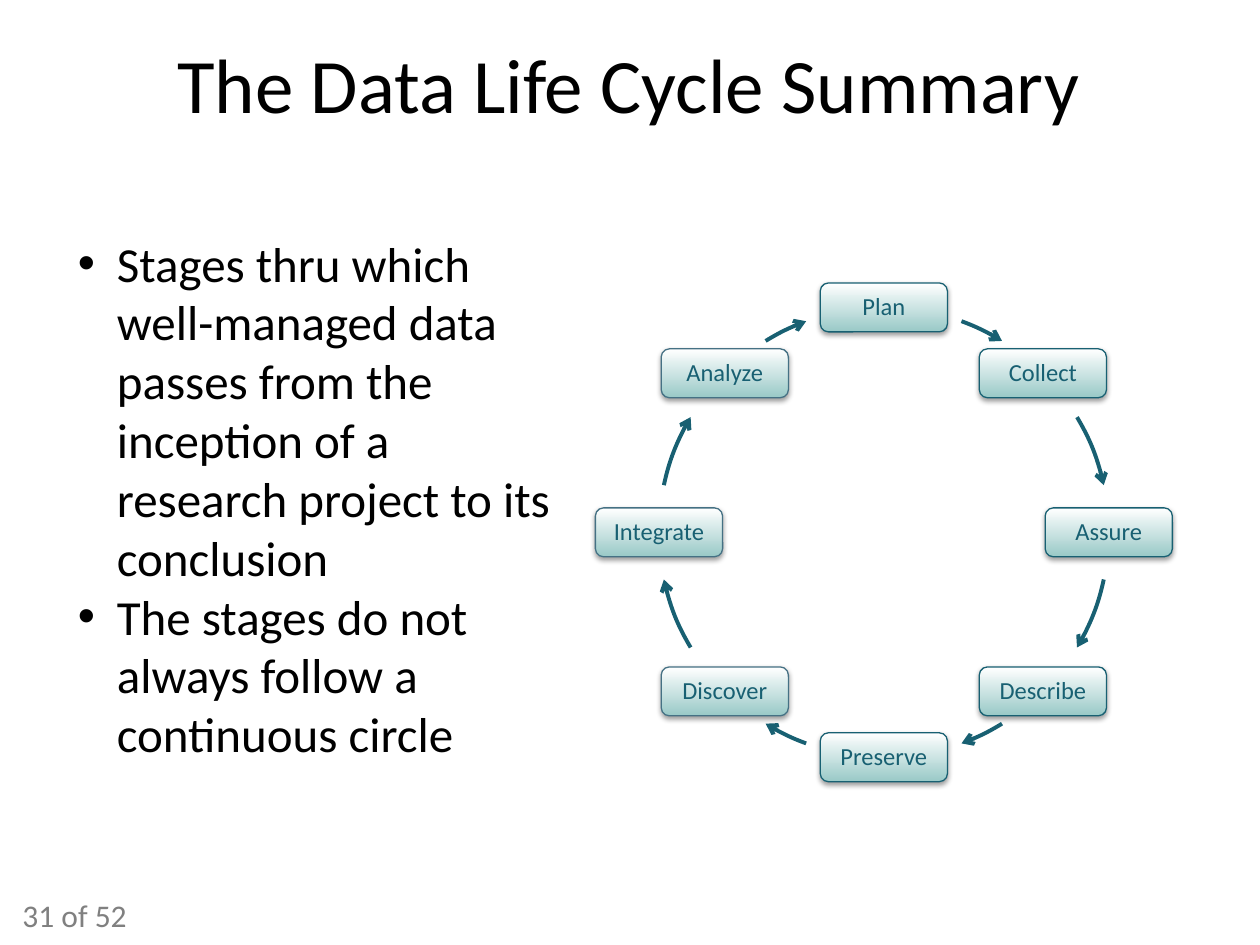
"""Build the data life cycle summary slide."""
import math
from dataclasses import dataclass

import lxml.etree
import pptx
import pptx.dml.color
import pptx.enum.shapes
import pptx.enum.text
import pptx.oxml.ns
import pptx.util

SHAPE = pptx.enum.shapes.MSO_SHAPE
ALIGN = pptx.enum.text.PP_ALIGN
ANCHOR = pptx.enum.text.MSO_ANCHOR


@dataclass(frozen=True)
class Theme:
    font: str = "Calibri"
    ink: str = "000000"
    muted: str = "808080"
    accent: str = "186072"
    soft_accent: str = "457184"
    light: str = "FFFFFF"
    tint: str = "99C9C7"
    title: int = 44
    body: int = 28
    counter: int = 18
    label: int = 14
    outline: float = 0.75
    arrow: float = 2.25


def colour(code):
    return pptx.dml.color.RGBColor.from_string(code)


def assign(target, values):
    for name, value in values.items():
        setattr(target, name, value)


def add_xml(parent, tag, **attributes):
    return lxml.etree.SubElement(parent, pptx.oxml.ns.qn(tag), attributes)


class SlideBuilder:
    """Draw themed elements on one slide, on a grid of 100 columns by 75 rows."""

    columns, rows = 100, 75

    def __init__(self, deck, theme):
        self.theme = theme
        self.page = deck.slides.add_slide(deck.slide_layouts[6])
        self.column = deck.slide_width / self.columns
        self.row = deck.slide_height / self.rows

    def place(self, left, top, width, height):
        return [
            pptx.util.Emu(round(length * unit))
            for length, unit in zip(
                (left, top, width, height), (self.column, self.row) * 2
            )
        ]

    def set_text(self, box, lines, size, ink, frame=None, bullet=None, **layout):
        text = box.text_frame
        assign(text, {"word_wrap": True, **(frame or {})})
        for index, line in enumerate(lines):
            para = text.paragraphs[0] if index == 0 else text.add_paragraph()
            assign(para, layout)
            if bullet:
                indent = pptx.util.Inches(0.31)
                properties = para._p.get_or_add_pPr()
                properties.set("marL", str(indent))
                properties.set("indent", str(-indent))
                add_xml(properties, "a:buFont", typeface="Arial")
                add_xml(properties, "a:buChar", char=bullet)
            span = para.add_run()
            span.text = line
            assign(span.font, {"name": self.theme.font, "size": pptx.util.Pt(size)})
            span.font.color.rgb = colour(ink)

    def text(self, area, lines, size, ink, **options):
        box = self.page.shapes.add_textbox(*self.place(*area))
        self.set_text(box, lines, size, ink, **options)

    def stroke(self, shape, ink, width):
        shape.line.color.rgb = colour(ink)
        shape.line.width = pptx.util.Pt(width)
        shape.shadow.inherit = False

    def stage(self, centre, label, outline):
        width, height = 10.1, 3.88
        area = self.place(
            centre[0] - width / 2, centre[1] - height / 2, width, height
        )
        box = self.page.shapes.add_shape(SHAPE.ROUNDED_RECTANGLE, *area)
        box.fill.gradient()
        box.fill.gradient_angle = 270
        for stop, code in zip(
            box.fill.gradient_stops, (self.theme.light, self.theme.tint)
        ):
            stop.color.rgb = colour(code)
        self.stroke(box, outline, self.theme.outline)
        self.drop_shadow(box)
        inset = pptx.util.Inches(0.06)
        sides = ("left", "top", "right", "bottom")
        frame = {f"margin_{side}": inset for side in sides}
        self.set_text(
            box, [label], self.theme.label, self.theme.accent,
            frame={**frame, "vertical_anchor": ANCHOR.MIDDLE},
            alignment=ALIGN.CENTER, line_spacing=0.9,
        )

    def drop_shadow(self, shape):
        effects = shape.element.spPr.find(pptx.oxml.ns.qn("a:effectLst"))
        shadow = add_xml(
            effects, "a:outerShdw", blurRad=str(pptx.util.Pt(3.1)),
            dist=str(pptx.util.Pt(1.6)), dir="5400000", rotWithShape="0",
        )
        black = add_xml(shadow, "a:srgbClr", val=self.theme.ink)
        add_xml(black, "a:alpha", val="38000")

    def arc_arrow(self, centre, radius, start, end):
        area = self.place(
            centre[0] - radius, centre[1] - radius, 2 * radius, 2 * radius
        )
        arc = self.page.shapes.add_shape(SHAPE.ARC, *area)
        for index, angle in enumerate((start, end)):
            arc.adjustments[index] = (angle - 90) % 360 * 0.6
        arc.fill.background()
        self.stroke(arc, self.theme.accent, self.theme.arrow)
        outline = arc.element.spPr.find(pptx.oxml.ns.qn("a:ln"))
        add_xml(outline, "a:tailEnd", type="arrow")

    def cycle(self, centre, radius, stages):
        step = 360 / len(stages)
        for index, (label, outline) in enumerate(stages):
            angle = math.radians(index * step)
            spot = (
                centre[0] + radius * math.sin(angle),
                centre[1] - radius * math.cos(angle),
            )
            self.stage(spot, label, outline)
        quarter = ((20.2, 31.7), (59.2, 77.9))
        half = quarter + tuple((180 - b, 180 - a) for a, b in reversed(quarter))
        for turn in (0, 180):
            for start, end in half:
                self.arc_arrow(centre, radius, start + turn, end + turn)


def main():
    deck = pptx.Presentation()
    assign(deck, {
        "slide_width": pptx.util.Inches(10),
        "slide_height": pptx.util.Inches(7.5),
    })
    theme = Theme()
    slide = SlideBuilder(deck, theme)
    slide.text((0.8, 70.6, 11.5, 4), ["31 of 52"], theme.counter, theme.muted)
    slide.text(
        (3, 2, 93.8, 9.2), ["The Data Life Cycle Summary"], theme.title, theme.ink,
        frame={"vertical_anchor": ANCHOR.MIDDLE}, alignment=ALIGN.CENTER,
    )
    right = ("Plan", "Collect", "Assure", "Describe", "Preserve")
    left = ("Discover", "Integrate", "Analyze")
    stages = [(label, theme.accent) for label in right]
    stages += [(label, theme.soft_accent) for label in left]
    slide.cycle((70.15, 42.25), 17.85, stages)
    slide.text(
        (5.2, 18, 40.7, 48.1),
        [
            "Stages thru which well-managed data passes from the inception "
            "of a research project to its conclusion",
            "The stages do not always follow a continuous circle",
        ],
        theme.body, theme.ink, bullet="•",
    )
    deck.save("out.pptx")


if __name__ == "__main__":
    main()
